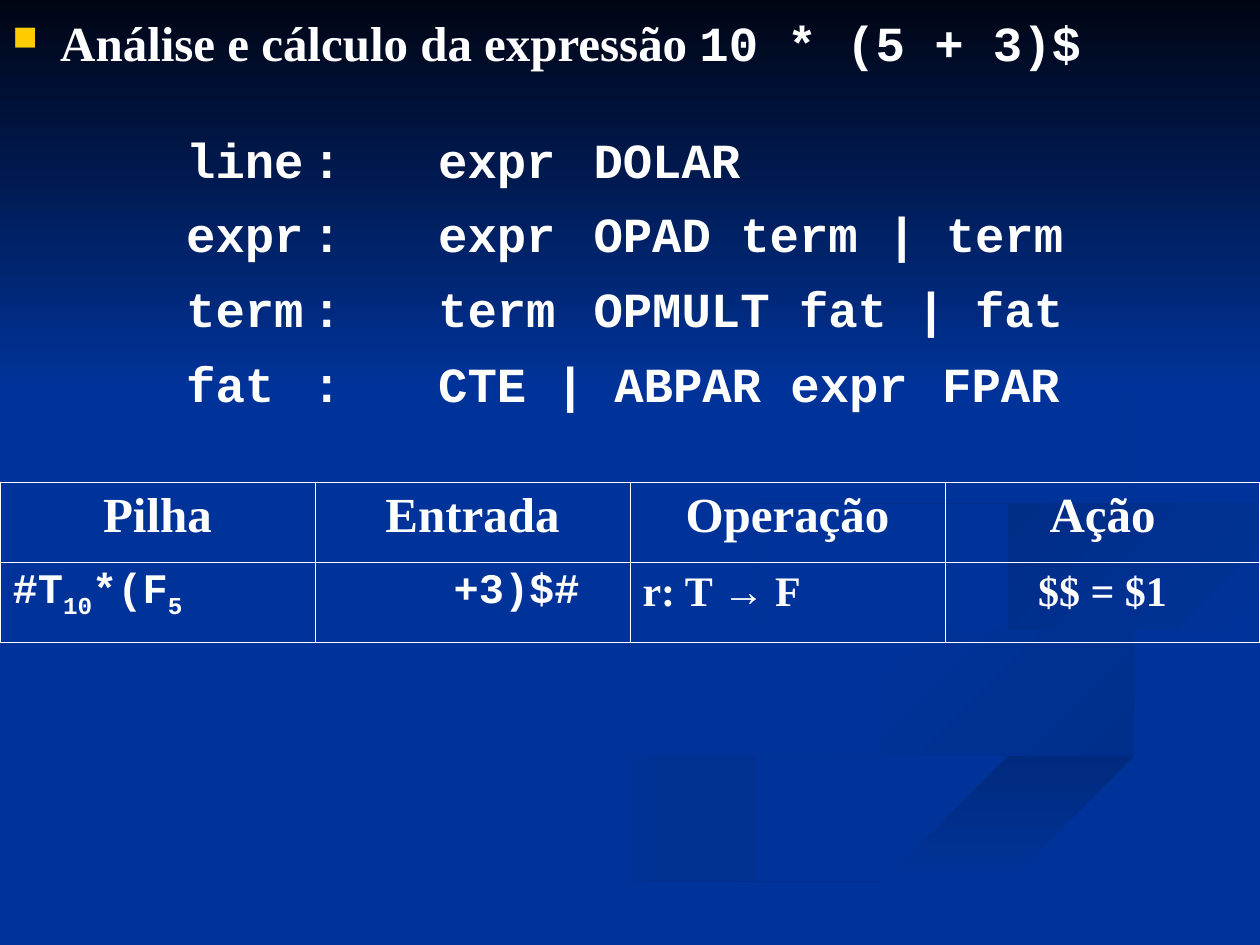
from dataclasses import dataclass

from lxml import etree
from pptx import Presentation
from pptx import util as u
from pptx.dml.color import RGBColor
from pptx.enum import shapes, text
from pptx.oxml import ns


@dataclass(frozen=True)
class Theme:
    base: str = "003399"
    night: str = "000514"
    ink: str = "FFFFFF"
    mark: str = "FFCC00"
    serif: str = "Times New Roman"
    mono: str = "Courier New"
    large: int = 28
    small: int = 24
    thick: float = 1.08
    thin: float = 0.45


THEME = Theme()

# Each ribbon: first colour, last colour, clockwise angle, and the edges
# between its sharp corners, as points in inches.
RIBBONS = [
    (THEME.base, "002E8B", 0, [
        [(5.75, 4.6), (5.94, 4.85), (6.82, 5.19), (7.81, 5.53), (8, 5.81),
         (7.56, 6.14), (5.64, 6.65), (3.61, 7.49)],
        [(3, 7.49), (4.58, 6.74), (7.14, 6.05), (7.86, 5.66), (7.14, 5.3),
         (6.11, 4.99), (5.7, 4.7)]]),
    (THEME.base, "002E8B", 45, [
        [(7.24, 4.64), (7.58, 4.98), (8.88, 5.35), (9.43, 5.7), (8.94, 6.05)],
        [(8.94, 6.05), (9.18, 5.81), (8.92, 5.53), (7.81, 5.18), (7.24, 4.66)]]),
    ("002A7D", THEME.base, 90, [
        [(5.03, 7.49), (5.71, 7.49)],
        [(5.71, 7.49), (7.22, 6.82), (9.98, 6.09)],
        [(9.98, 5.81), (7.64, 6.47), (6.3, 6.93), (5.19, 7.47)]]),
    (THEME.base, THEME.base, 0, [
        [(7.25, 4.64), (7.59, 4.98), (8.89, 5.35), (9.43, 5.7), (8.92, 6.05),
         (6.63, 6.68), (4.77, 7.49)],
        [(5.19, 7.47), (6.3, 6.93), (7.65, 6.47), (9.99, 5.81)],
        [(9.99, 5.38), (8.32, 4.98), (7.81, 4.63), (8.35, 4.3), (9.99, 4.02)],
        [(9.99, 3.87), (8.08, 4.17), (7.25, 4.6)]]),
    ("002D86", THEME.base, 45, [
        [(8.26, 4.96), (8.05, 4.74), (8.43, 4.48), (9.98, 4.2)],
        [(9.98, 4.02), (8.35, 4.3), (7.81, 4.63), (8.26, 4.96)]]),
    ("002B82", THEME.base, 45, [
        [(7.62, 2.33), (8.54, 2.83), (8.94, 3.4), (8.41, 3.96), (6.83, 4.3),
         (5.94, 4.66), (6.22, 5)],
        [(6.22, 5), (5.77, 4.62), (6.25, 4.26), (8.3, 3.82), (8.89, 3.35),
         (8.26, 2.66), (7.62, 2.33)]]),
]
GRAMMAR = ["line\t:\texpr\t DOLAR", "expr\t:\texpr\t OPAD term | term",
           "term\t:\tterm\t OPMULT fat | fat", "fat\t:\tCTE | ABPAR expr\tFPAR"]
HEADS = ["Pilha", "Entrada", "Operação", "Ação"]


def rgb(code):
    return RGBColor.from_string(code)


def node(up, tag, **attrs):
    return etree.SubElement(up, ns.qn(tag), {k: str(v) for k, v in attrs.items()})


def write(par, words, font=THEME.serif, size=THEME.large, sub=False):
    run = par.add_run()
    run.text = words
    run.font.name, run.font.size, run.font.bold = font, u.Pt(size), True
    run.font.color.rgb = rgb(THEME.ink)
    if sub:
        run.font._element.set("baseline", "-25000")


def smooth(edge, steps=6):
    """Run a Catmull-Rom curve through the points of an edge."""
    ends = [edge[0], *edge, edge[-1]]
    dots = []
    for a, b, c, d in zip(ends, ends[1:], ends[2:], ends[3:]):
        for step in range(steps):
            t = step / steps
            dots.append(tuple(
                q + t / 2 * (r - p + t * (2 * p - 5 * q + 4 * r - s
                                          + t * (3 * q - p - 3 * r + s)))
                for p, q, r, s in zip(a, b, c, d)))
    return dots + [edge[-1]]


def paint(shape, first, last, angle):
    """Fill with two colours, the angle counted clockwise."""
    shape.shadow.inherit = False
    shape.line.fill.background()
    if first == last:
        shape.fill.solid()
        shape.fill.fore_color.rgb = rgb(first)
        return
    shape.fill.gradient()
    shape.fill.gradient_angle = -angle % 360
    for stop, code, spot in zip(shape.fill.gradient_stops, (first, last), (0, 1)):
        stop.color.rgb = rgb(code)
        stop.position = spot


def draw_back(slide):
    slide.background.fill.solid()
    slide.background.fill.fore_color.rgb = rgb(THEME.base)
    for first, last, angle, edges in RIBBONS:
        dots = [dot for edge in edges for dot in smooth(edge)]
        pen = slide.shapes.build_freeform(*dots[0], scale=u.Inches(1))
        pen.add_line_segments(dots[1:], close=True)
        paint(pen.convert_to_shape(), first, last, angle)
    sky = slide.shapes.add_shape(shapes.MSO_SHAPE.RECTANGLE, 0, 0,
                                 u.Inches(10), u.Inches(3.08))
    paint(sky, THEME.night, THEME.base, 90)


def frame_cell(cell, sides):
    """Draw the cell borders; sides maps a side letter to a width in points."""
    props = cell._tc.get_or_add_tcPr()
    for spot, side in enumerate("LRTB"):
        line = node(props, "a:ln" + side, w=u.Pt(sides[side]))
        node(node(line, "a:solidFill"), "a:srgbClr", val=THEME.ink)
        props.insert(spot, line)


def draw_grid(slide):
    grid = slide.shapes.add_table(2, 4, 0, u.Inches(3.83),
                                  u.Inches(10), u.Inches(1.27)).table
    grid.first_row = grid.horz_banding = False
    for row in range(2):
        for col in range(4):
            cell = grid.cell(row, col)
            cell.fill.background()
            outer = {"L": col == 0, "R": col == 3, "T": row == 0, "B": row == 1}
            frame_cell(cell, {k: THEME.thick if v else THEME.thin
                              for k, v in outer.items()})
            par = cell.text_frame.paragraphs[0]
            if row == 0 or col == 3:
                par.alignment = text.PP_ALIGN.CENTER
    for col, head in enumerate(HEADS):
        write(grid.cell(0, col).text_frame.paragraphs[0], head)
    stack, entry, step, act = [grid.cell(1, col).text_frame.paragraphs[0]
                               for col in range(4)]
    for words, sub in [("#T", False), ("10", True), ("*(F", False), ("5", True)]:
        write(stack, words, THEME.mono, THEME.small, sub)
    entry._p.get_or_add_pPr().set("marL", str(u.Inches(1)))
    write(entry, "+3)$#", THEME.mono, THEME.small)
    write(step, "r: T → F", size=THEME.small)
    write(act, "$$ = $1", size=THEME.small)


def draw_body(slide):
    box = slide.shapes.add_textbox(0, 0, u.Inches(10), u.Inches(3.75)).text_frame
    box.word_wrap = True
    box.margin_top = u.Inches(0.1)
    par = box.paragraphs[0]
    props = par._p.get_or_add_pPr()
    props.set("marL", str(u.Inches(0.38)))
    props.set("indent", str(u.Inches(-0.38)))
    node(node(props, "a:buClr"), "a:srgbClr", val=THEME.mark)
    node(props, "a:buSzPct", val=70000)
    node(props, "a:buChar", char="■")
    write(par, "Análise e cálculo da expressão ")
    write(par, "10 * (5 + 3)$", THEME.mono)
    for spot, rule in enumerate(GRAMMAR):
        par = box.add_paragraph()
        par.space_before = u.Pt(9 if spot else 33)
        tabs = node(par._p.get_or_add_pPr(), "a:tabLst")
        for stop in range(8):
            node(tabs, "a:tab", pos=u.Inches(0.38 + stop), algn="l")
        write(par, "\t\t" + rule, THEME.mono)


def main():
    deck = Presentation()
    deck.slide_width, deck.slide_height = u.Inches(10), u.Inches(7.5)
    slide = deck.slides.add_slide(deck.slide_layouts[6])
    draw_back(slide)
    draw_grid(slide)
    draw_body(slide)
    deck.save("out.pptx")


if __name__ == "__main__":
    main()
